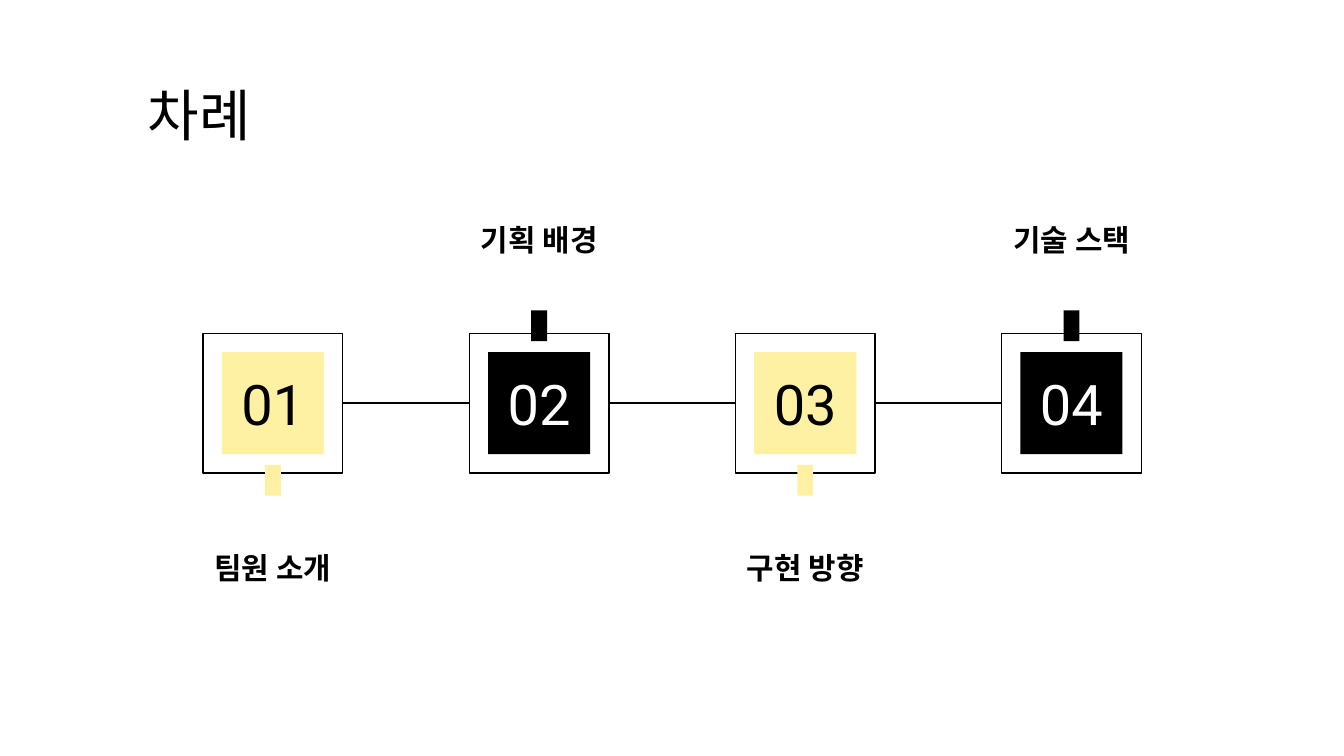
"""Build a contents slide with four numbered, linked steps."""
from lxml.etree import SubElement
from pptx import Presentation
from pptx.dml.color import RGBColor
from pptx.enum.shapes import MSO_CONNECTOR as Connector, MSO_SHAPE as Shape
from pptx.enum.text import MSO_ANCHOR as Anchor, MSO_AUTO_SIZE as AutoSize, PP_ALIGN as Align
from pptx.oxml.ns import qn
from pptx.util import Cm, Pt

BLACK = RGBColor(0x00, 0x00, 0x00)
WHITE = RGBColor(0xFF, 0xFF, 0xFF)
YELLOW = RGBColor(0xFF, 0xF1, 0xA3)
FONT = "Roboto"

TITLE = "차례"
STEPS = ["팀원 소개", "기획 배경", "구현 방향", "기술 스택"]

FIRST_X, PITCH, MIDDLE_Y = 5.16, 5.03, 7.62
FRAME, TILE = 2.64, 1.93
TAB_WIDTH, TAB_HEIGHT, TAB_OFFSET = 0.3, 0.58, 1.46
LABEL_WIDTH, LABEL_HEIGHT, LABEL_OFFSET = 4.7, 2.87, 3.1


def write_text(shape, text, size=30, color=BLACK, bold=False, align=Align.CENTER):
    frame = shape.text_frame
    frame.word_wrap = True
    frame.auto_size = AutoSize.NONE
    frame.vertical_anchor = Anchor.MIDDLE
    frame.margin_left = frame.margin_right = Cm(0.25)
    frame.margin_top = frame.margin_bottom = Cm(0.25)
    paragraph = frame.paragraphs[0]
    paragraph.alignment = align
    run = paragraph.add_run()
    run.text = text
    run.font.size = Pt(size)
    run.font.bold = bold
    run.font.color.rgb = color
    run.font.name = FONT
    SubElement(run.font._element, qn("a:ea"), typeface=FONT)


def centered_box(x, y, width, height):
    return Cm(x - width / 2), Cm(y - height / 2), Cm(width), Cm(height)


def add_box(slide, box, fill=None, line=None):
    shape = slide.shapes.add_shape(Shape.RECTANGLE, *box)
    shape.shadow.inherit = False
    if fill is None:
        shape.fill.background()
    else:
        shape.fill.solid()
        shape.fill.fore_color.rgb = fill
    if line is None:
        shape.line.fill.background()
    else:
        shape.line.color.rgb = line
        shape.line.width = Pt(0.75)
    return shape


def add_link(slide, start, end):
    link = slide.shapes.add_connector(
        Connector.STRAIGHT, Cm(start), Cm(MIDDLE_Y), Cm(end), Cm(MIDDLE_Y))
    link.line.color.rgb = BLACK
    link.line.width = Pt(0.75)
    SubElement(link._element.spPr, qn("a:effectLst"))


def add_step(slide, index, label):
    x = FIRST_X + index * PITCH
    below = index % 2 == 0
    side = 1 if below else -1
    fill, number_color = (YELLOW, BLACK) if below else (BLACK, WHITE)

    text_box = slide.shapes.add_textbox(
        *centered_box(x, MIDDLE_Y + side * LABEL_OFFSET, LABEL_WIDTH, LABEL_HEIGHT))
    write_text(text_box, label, size=16, bold=True)
    add_box(slide, centered_box(x, MIDDLE_Y, FRAME, FRAME), line=BLACK)
    tile = add_box(slide, centered_box(x, MIDDLE_Y, TILE, TILE), fill=fill)
    write_text(tile, f"{index + 1:02}", color=number_color)
    add_box(slide, centered_box(x, MIDDLE_Y + side * TAB_OFFSET, TAB_WIDTH, TAB_HEIGHT),
            fill=fill)
    if index > 0:
        add_link(slide, x - PITCH + FRAME / 2, x - FRAME / 2)


def main():
    presentation = Presentation()
    presentation.slide_width, presentation.slide_height = Cm(25.4), Cm(14.29)
    slide = presentation.slides.add_slide(presentation.slide_layouts[5])
    slide.background.fill.solid()
    slide.background.fill.fore_color.rgb = WHITE

    title = slide.shapes.title
    title.left, title.top, title.width, title.height = Cm(2.54), Cm(1.5), Cm(20.85), Cm(1.32)
    write_text(title, TITLE, align=Align.LEFT)

    for index, label in enumerate(STEPS):
        add_step(slide, index, label)

    presentation.save("out.pptx")


if __name__ == "__main__":
    main()
